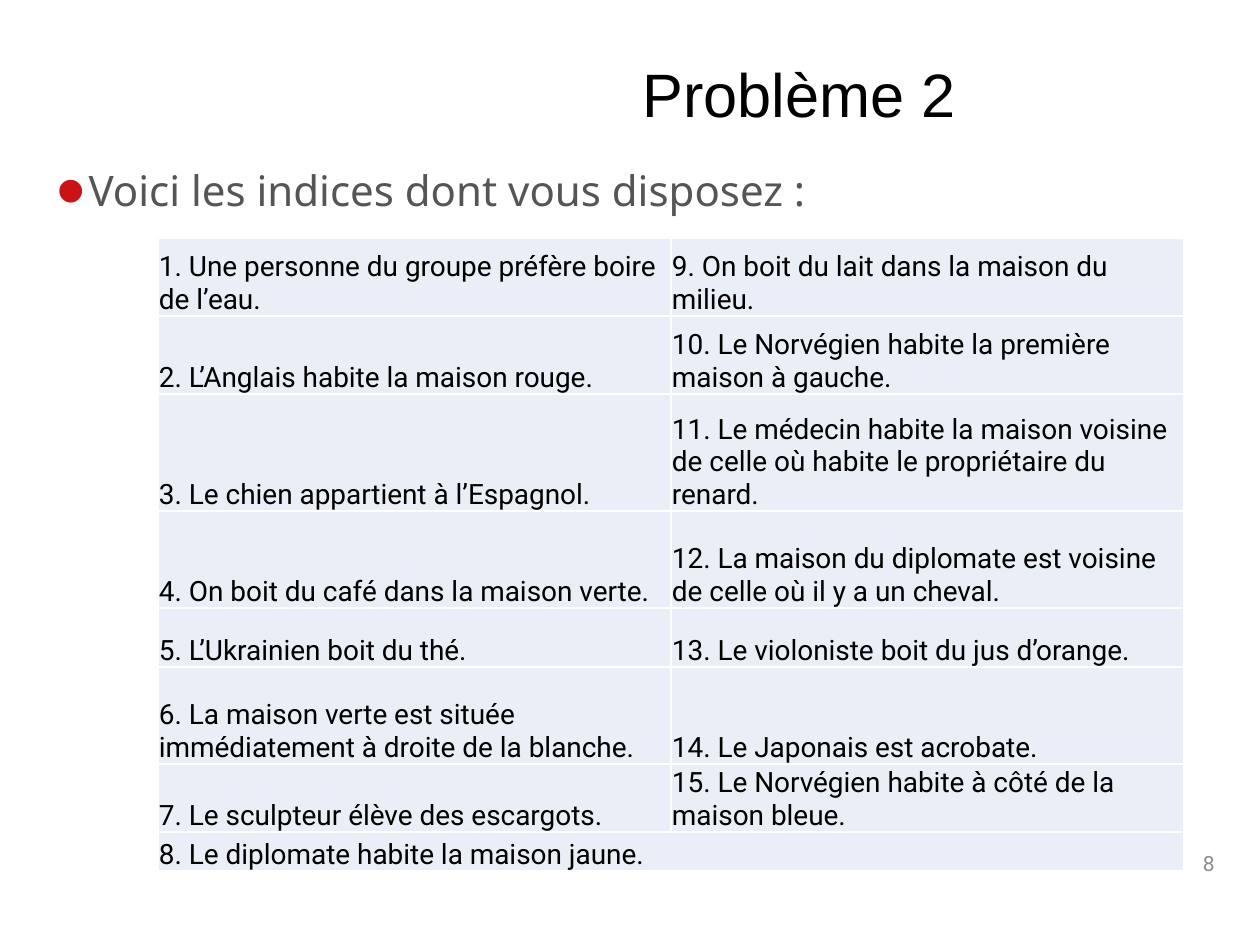
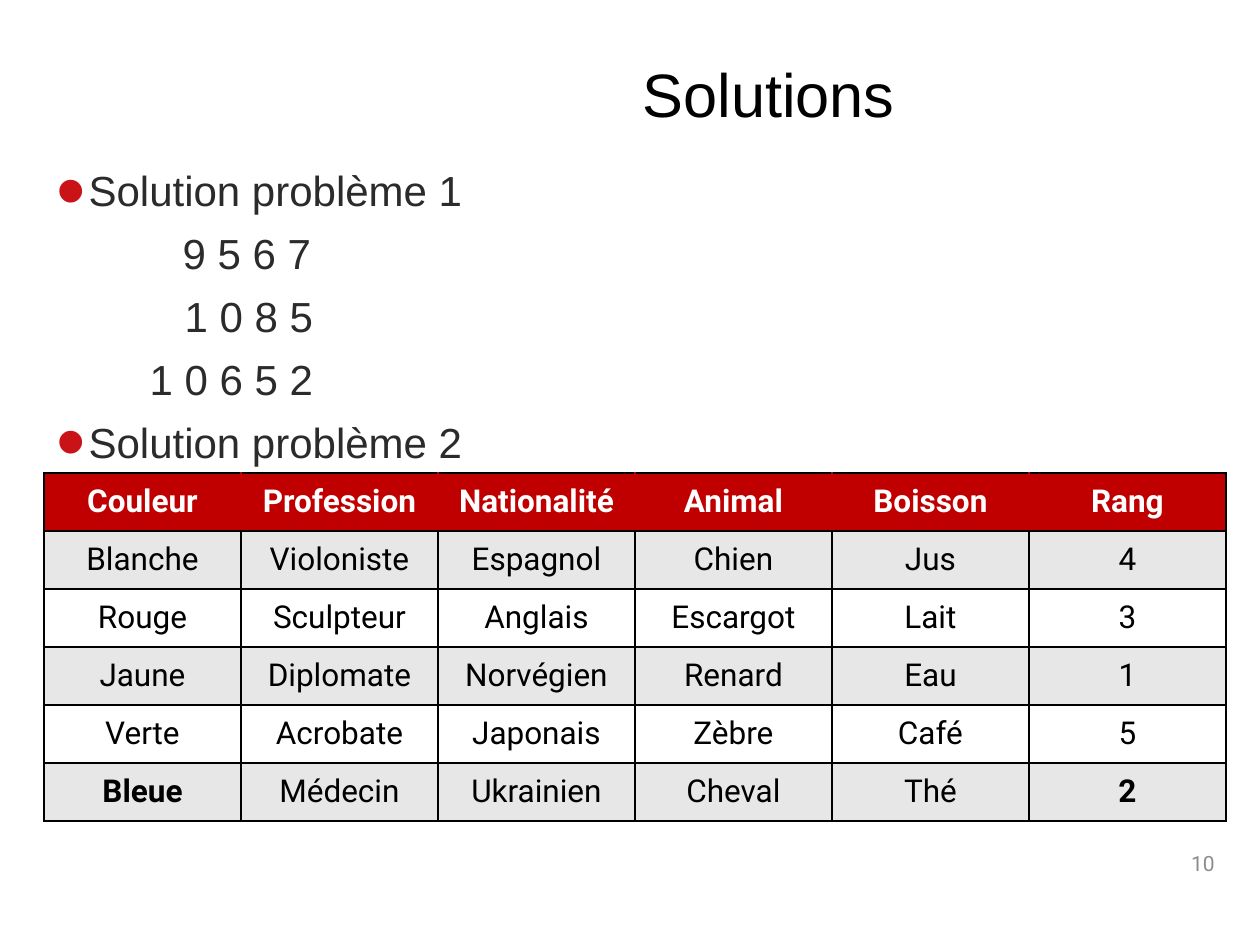
from lxml.etree import SubElement
from pptx import Presentation
from pptx.dml.color import RGBColor
from pptx.enum.text import MSO_ANCHOR as Anchor, MSO_AUTO_SIZE as AutoSize, PP_ALIGN as Align
from pptx.oxml.ns import qn
from pptx.util import Emu, Pt

PX = 914400 / 126
SLIDE_SIZE = 1260, 945
TITLE_BOX = 630, 32, 591, 132
BODY_BOX = 44, 164, 1177, 659
NUMBER_BOX = 944, 838, 283, 50
CLUES_BOX = 158, 238, 1026, 625
ANSWERS_BOX = 44, 473, 1182, 348

BLACK, WHITE = "000000", "FFFFFF"
BULLET_RED, HEADER_RED = "C91317", "C00000"
CLUE_BLUE, BAND_GREY, NUMBER_GREY = "EAEFF7", "E7E7E7", "8C8C8C"
LEAD_GREY, SOLUTION_GREY = "555555", "2B2B2B"
HANGING = 32

CLUES = [
    "Une personne du groupe préfère boire de l’eau.",
    "L’Anglais habite la maison rouge.",
    "Le chien appartient à l’Espagnol.",
    "On boit du café dans la maison verte.",
    "L’Ukrainien boit du thé.",
    "La maison verte est située immédiatement à droite de la blanche.",
    "Le sculpteur élève des escargots.",
    "Le diplomate habite la maison jaune.",
    "On boit du lait dans la maison du milieu.",
    "Le Norvégien habite la première maison à gauche.",
    "Le médecin habite la maison voisine de celle où habite le propriétaire du renard.",
    "La maison du diplomate est voisine de celle où il y a un cheval.",
    "Le violoniste boit du jus d’orange.",
    "Le Japonais est acrobate.",
    "Le Norvégien habite à côté de la maison bleue.",
]
CLUE_HEIGHTS = [78, 78, 117, 97, 59, 97, 59, 39]

ANSWERS = [
    ("Couleur", "Profession", "Nationalité", "Animal", "Boisson", "Rang"),
    ("Blanche", "Violoniste", "Espagnol", "Chien", "Jus", "4"),
    ("Rouge", "Sculpteur", "Anglais", "Escargot", "Lait", "3"),
    ("Jaune", "Diplomate", "Norvégien", "Renard", "Eau", "1"),
    ("Verte", "Acrobate", "Japonais", "Zèbre", "Café", "5"),
    ("Bleue", "Médecin", "Ukrainien", "Cheval", "Thé", "2"),
]


def px(length):
    """Turn pixels into EMU."""
    return Emu(round(length * PX))


def rgb(code):
    """Turn a hex string into a colour."""
    return RGBColor.from_string(code)


def write(paragraph, text, size, font="Roboto", color=BLACK, bold=False,
          align=Align.LEFT, line=None, before=0):
    """Put formatted text into a paragraph."""
    run = paragraph.add_run()
    run.text = text
    run.font.name, run.font.size, run.font.bold = font, Pt(size), bold
    run.font.color.rgb = rgb(color)
    paragraph.alignment = align
    paragraph.line_spacing = line
    paragraph.space_before = Pt(before)


def indent(paragraph, left, bulleted):
    """Set the left indent, with a hanging red bullet or none."""
    props = paragraph._p.get_or_add_pPr()
    props.set("marL", str(px(left)))
    props.set("indent", str(px(-left if bulleted else 0)))
    if not bulleted:
        SubElement(props, qn("a:buNone"))
        return
    tint = SubElement(props, qn("a:buClr"))
    SubElement(tint, qn("a:srgbClr"), val=BULLET_RED)
    SubElement(props, qn("a:buSzPct"), val="200000")
    SubElement(props, qn("a:buFont"), typeface="Arial")
    SubElement(props, qn("a:buChar"), char="•")


def place(shape, box):
    """Move a shape to its box."""
    shape.left, shape.top, shape.width, shape.height = map(px, box)


def fill_cell(cell, text, fill, edges, anchor, **style):
    """Border, fill and write one table cell; edges maps L, R, T, B to colours."""
    props = cell._tc.get_or_add_tcPr()
    for side, color in edges.items():
        edge = SubElement(props, qn(f"a:ln{side}"), w=str(Pt(1)))
        solid = SubElement(edge, qn("a:solidFill"))
        SubElement(solid, qn("a:srgbClr"), val=color)
    cell.fill.solid()
    cell.fill.fore_color.rgb = rgb(fill)
    cell.vertical_anchor = anchor
    if text:
        write(cell.text_frame.paragraphs[0], text, **style)


def add_grid(slide, box, heights, columns):
    """Add a plain table of equal columns and given row heights."""
    grid = slide.shapes.add_table(len(heights), columns, *map(px, box)).table
    grid.first_row = grid.horz_banding = False
    for row, height in zip(grid.rows, heights):
        row.height = px(height)
    for column in grid.columns:
        column.width = px(box[2] / columns)
    return grid


def add_clues(slide, box):
    """Lay out the numbered clues in two columns, the last row merged."""
    rows = len(CLUE_HEIGHTS)
    grid = add_grid(slide, box, CLUE_HEIGHTS, 2)
    numbered = [f"{number}. {clue}" for number, clue in enumerate(CLUES, 1)]
    for index in range(rows * 2):
        cell = grid.cell(index % rows, index // rows)
        cell.margin_left = cell.margin_right = cell.margin_top = px(1)
        cell.margin_bottom = 0
        clue = numbered[index] if index < len(numbered) else ""
        fill_cell(cell, clue, CLUE_BLUE, dict.fromkeys("LRTB", WHITE), Anchor.BOTTOM, size=16)
    grid.cell(rows - 1, 0).merge(grid.cell(rows - 1, 1))


def add_answers(slide, box):
    """Lay out the solution table with its red header and grey bands."""
    rows, columns = len(ANSWERS), len(ANSWERS[0])
    grid = add_grid(slide, box, [box[3] / rows] * rows, columns)
    for r, answer in enumerate(ANSWERS):
        header = r == 0
        fill = HEADER_RED if header else BAND_GREY if r % 2 else WHITE
        for c, text in enumerate(answer):
            outer = c in (0, columns - 1)
            edges = dict.fromkeys("LRTB", BLACK)
            if header:
                edges["L"] = BLACK if c == 0 else HEADER_RED
                edges["R"] = BLACK if c == columns - 1 else HEADER_RED
            fill_cell(grid.cell(r, c), text, fill, edges, Anchor.MIDDLE, size=18,
                      color=WHITE if header else BLACK, align=Align.CENTER,
                      bold=header or (outer and r == rows - 1))


def add_body(body, box, lines, font, color):
    """Fill the body with (text, indent, bulleted) lines."""
    place(body, box)
    frame = body.text_frame
    frame.auto_size = AutoSize.NONE
    for index, (text, left, bulleted) in enumerate(lines):
        paragraph = frame.add_paragraph() if index else frame.paragraphs[0]
        write(paragraph, text, 24, font=font, color=color, line=0.9, before=10)
        indent(paragraph, left, bulleted)


def add_number(slide, box, number):
    """Write the page number at the bottom right."""
    frame = slide.shapes.add_textbox(*map(px, box)).text_frame
    frame.word_wrap = True
    frame.vertical_anchor = Anchor.MIDDLE
    write(frame.paragraphs[0], str(number), 12, color=NUMBER_GREY, align=Align.RIGHT)


def add_page(deck, title, number, lines, font, color):
    """Add a slide with the shared title, body and page number."""
    slide = deck.slides.add_slide(deck.slide_layouts[1])
    heading, body = slide.placeholders
    place(heading, TITLE_BOX)
    heading.text_frame.auto_size = AutoSize.NONE
    heading.text_frame.vertical_anchor = Anchor.MIDDLE
    write(heading.text_frame.paragraphs[0], title, 35, font="Arial", line=0.9)
    add_body(body, BODY_BOX, lines, font, color)
    add_number(slide, NUMBER_BOX, number)
    return slide


def main():
    """Build both slides and save the deck."""
    deck = Presentation()
    deck.slide_width, deck.slide_height = map(px, SLIDE_SIZE)

    lead = [("Voici les indices dont vous disposez :", HANGING, True)]
    problem = add_page(deck, "Problème 2", 8, lead, "Noto Sans", LEAD_GREY)
    add_clues(problem, CLUES_BOX)

    solution_lines = [
        ("Solution problème 1", HANGING, True),
        ("9 5 6 7", 126, False),
        ("1 0 8 5", 128, False),
        ("1 0 6 5 2", 93, False),
        ("Solution problème 2", HANGING, True),
    ]
    solutions = add_page(deck, "Solutions", 10, solution_lines, "Arial", SOLUTION_GREY)
    add_answers(solutions, ANSWERS_BOX)

    deck.save("out.pptx")


if __name__ == "__main__":
    main()
